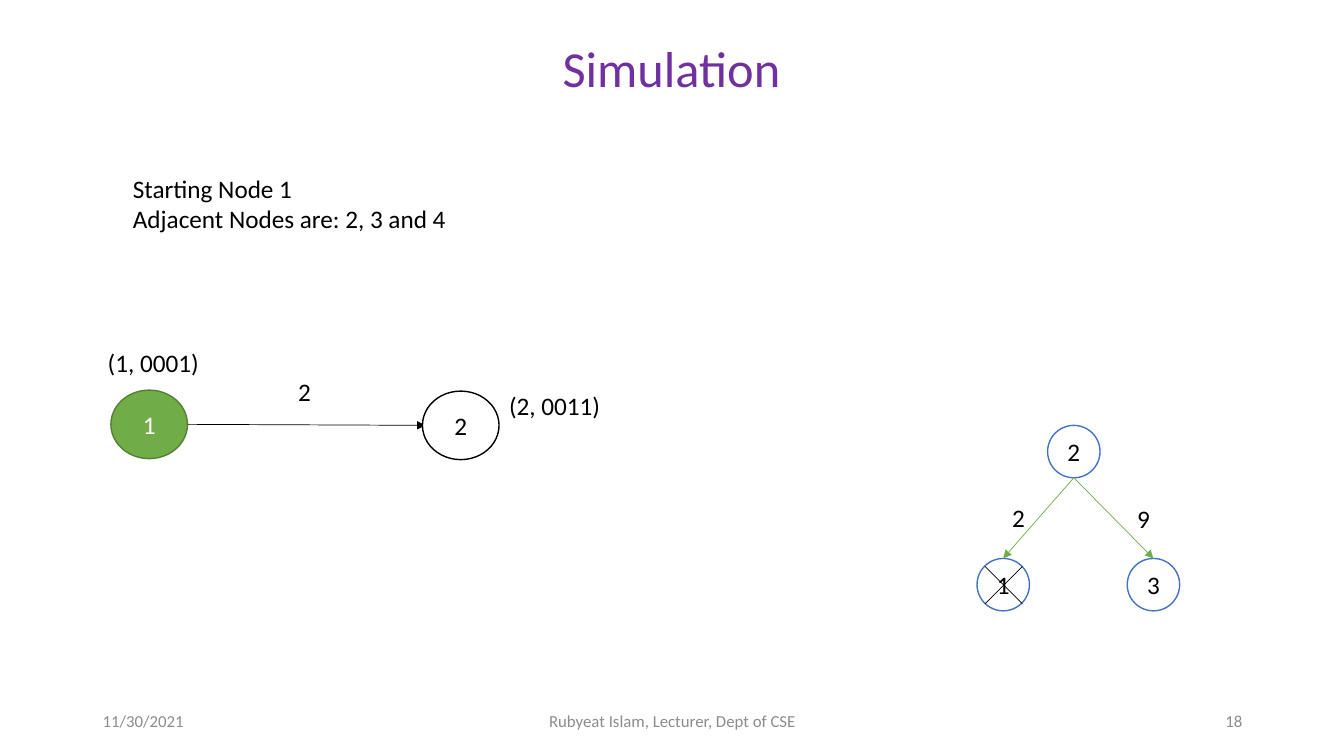
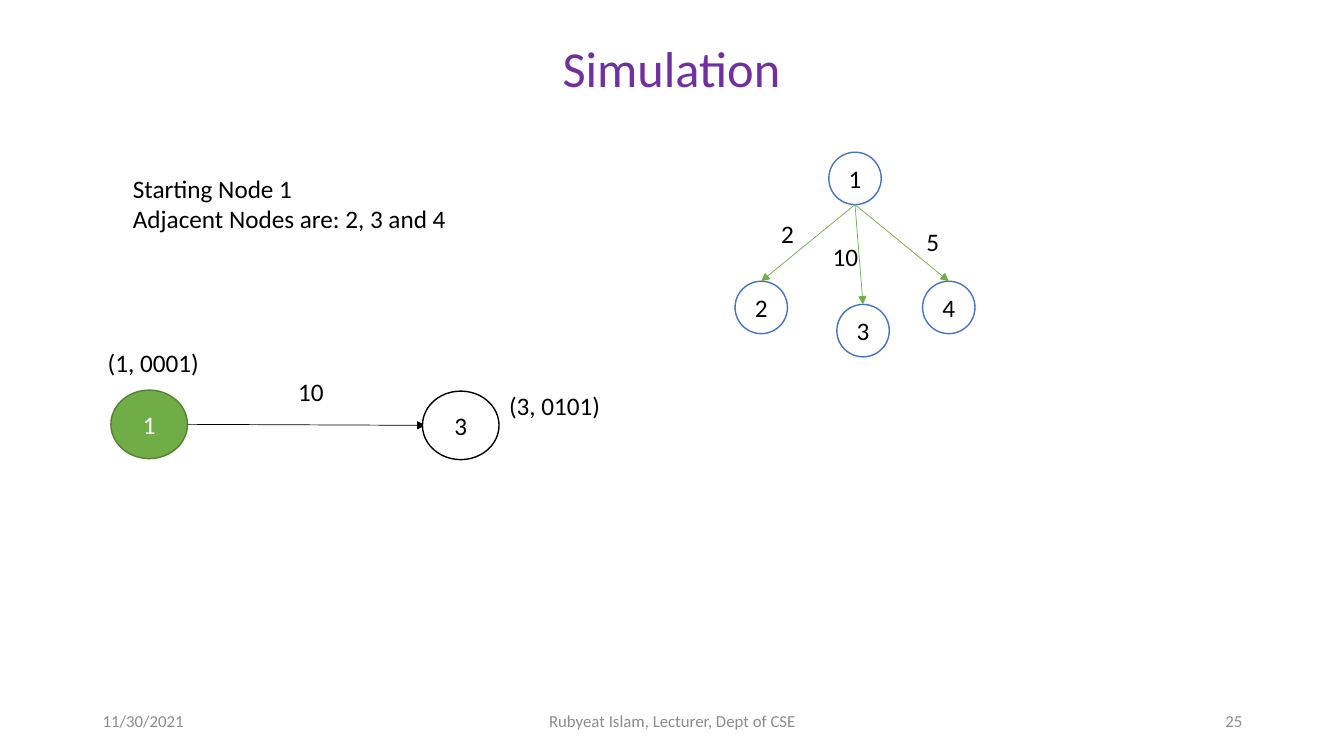
"""Two slides that simulate a search from one node to its neighbours."""
from dataclasses import dataclass

from pptx import Presentation
from pptx.dml.color import RGBColor
from pptx.enum import shapes as kinds, text as modes
from pptx.oxml import ns, xmlchemy as xml
from pptx.util import Inches, Pt

HUES = {
    "title": "7030A0", "foot": "8C8C8C", "ink": "000000", "paper": "FFFFFF",
    "green": "70AD47", "moss": "538035", "blue": "4472C4",
}
FONT = "Calibri"
RING = 0.52
LEFT, MID, RIGHT = modes.PP_ALIGN.LEFT, modes.PP_ALIGN.CENTER, modes.PP_ALIGN.RIGHT


@dataclass
class Leaf:
    """A child in a tree, with its edge cost and the place of that cost."""
    name: str
    left: float
    top: float
    cost: str
    spot: tuple[float, float]
    done: bool = False


@dataclass
class Tree:
    """A root ring and its leaves."""
    name: str
    left: float
    top: float
    leaves: list[Leaf]


@dataclass
class Step:
    """One slide of the simulation."""
    page: str
    goal: str
    state: str
    cost: str
    tree: Tree


STEPS = [
    Step("18", "2", "(2, 0011)", "2", Tree("2", 10.39, 4.22, [
        Leaf("1", 9.69, 5.54, "2", (9.94, 4.93), True),
        Leaf("3", 11.18, 5.54, "9", (11.18, 4.94)),
    ])),
    Step("25", "3", "(3, 0101)", "10", Tree("1", 8.22, 1.51, [
        Leaf("2", 7.29, 2.79, "2", (7.65, 2.12)),
        Leaf("3", 8.3, 3.02, "10", (8.16, 2.34)),
        Leaf("4", 9.15, 2.79, "5", (9.09, 2.2)),
    ])),
]


def tint(key: str) -> RGBColor:
    """Give the colour with this name."""
    return RGBColor.from_string(HUES[key])


def write(frame, words: str, size: int, hue: str, align) -> None:
    """Fill a text frame, one paragraph a line."""
    for num, line in enumerate(words.split("\n")):
        para = frame.add_paragraph() if num else frame.paragraphs[0]
        para.text = line
        para.alignment = align
        para.font.name = FONT
        para.font.size = Pt(size)
        para.font.color.rgb = tint(hue)


def label(slide, words: str, left: float, top: float, width: float, high: float = 0.4,
          size: int = 18, hue: str = "ink", align=LEFT, wrap: bool = False):
    """Add a text box and give its frame."""
    box = slide.shapes.add_textbox(Inches(left), Inches(top), Inches(width), Inches(high))
    frame = box.text_frame
    frame.word_wrap = wrap
    frame.auto_size = modes.MSO_AUTO_SIZE.SHAPE_TO_FIT_TEXT
    write(frame, words, size, hue, align)
    return frame


def price(slide, cost: str, left: float, top: float) -> None:
    """Label an edge with its cost."""
    label(slide, cost, left, top, 0.2 + 0.13 * len(cost))


def node(slide, name: str, left: float, top: float, width: float = RING, high: float = RING,
         fill: str = "paper", edge: str = "blue", ink: str = "ink"):
    """Add a round node."""
    oval = slide.shapes.add_shape(kinds.MSO_SHAPE.OVAL, Inches(left), Inches(top),
                                  Inches(width), Inches(high))
    oval.shadow.inherit = False
    oval.fill.solid()
    oval.fill.fore_color.rgb = tint(fill)
    oval.line.color.rgb = tint(edge)
    oval.line.width = Pt(1)
    oval.text_frame.vertical_anchor = modes.MSO_ANCHOR.MIDDLE
    write(oval.text_frame, name, 18, ink, MID)
    return oval


def link(slide, start: tuple[float, float], end: tuple[float, float],
         hue: str = "ink", head: bool = True):
    """Add a straight line, with an arrowhead if asked."""
    line = slide.shapes.add_connector(kinds.MSO_CONNECTOR.STRAIGHT,
                                      *(Inches(val) for val in (*start, *end)))
    line.line.color.rgb = tint(hue)
    line.line.width = Pt(0.5)
    props = line._element.spPr
    if head:
        tip = xml.OxmlElement("a:tailEnd")
        tip.set("type", "triangle")
        props.find(ns.qn("a:ln")).append(tip)
    props.append(xml.OxmlElement("a:effectLst"))
    return line


def cross(slide, left: float, top: float) -> None:
    """Strike out a ring corner to corner."""
    near, far = 0.08, RING - 0.07
    for one, two in ((near, far), (far, near)):
        link(slide, (left + one, top + near), (left + two, top + far), head=False)


def grow(slide, tree: Tree) -> None:
    """Draw a tree of rings."""
    node(slide, tree.name, tree.left, tree.top)
    base = (tree.left + RING / 2, tree.top + RING)
    for leaf in tree.leaves:
        ring = node(slide, leaf.name, leaf.left, leaf.top)
        edge = link(slide, base, (leaf.left + RING / 2, leaf.top), "green")
        edge.end_connect(ring, 0)
        price(slide, leaf.cost, *leaf.spot)
        if leaf.done:
            cross(slide, leaf.left, leaf.top)


def frame(slide, page: str) -> None:
    """Add the title and the footer."""
    feet = [
        ("11/30/2021", 0.92, 3, LEFT),
        ("Rubyeat Islam, Lecturer, Dept of CSE", 4.42, 4.5, MID),
        (page, 9.42, 3, RIGHT),
    ]
    for words, left, width, align in feet:
        foot = label(slide, words, left, 6.95, width, 0.4, 12, "foot", align, True)
        foot.auto_size = modes.MSO_AUTO_SIZE.NONE
        foot.vertical_anchor = modes.MSO_ANCHOR.MIDDLE
    label(slide, "Simulation", 0.44, 0.32, 12.44, 0.71, 36, "title", MID, True)


def move(slide, step: Step) -> None:
    """Draw the move from the start node to the goal."""
    label(slide, "Starting Node 1\nAdjacent Nodes are: 2, 3 and 4", 1.22, 1.67, 3.34, 0.71)
    node(slide, "1", 1.1, 3.87, 0.76, 0.68, "green", "moss", "paper")
    label(slide, "(1, 0001)", 0.97, 3.4, 1.12)
    link(slide, (1.86, 4.21), (4.22, 4.22))
    node(slide, step.goal, 4.19, 3.88, 0.76, 0.68, edge="ink")
    label(slide, step.state, 4.95, 3.82, 1.12)
    price(slide, step.cost, 2.86, 3.68)


def main() -> None:
    """Build and save the deck."""
    deck = Presentation()
    deck.slide_width, deck.slide_height = Inches(13.33), Inches(7.5)
    for step in STEPS:
        slide = deck.slides.add_slide(deck.slide_layouts[6])
        frame(slide, step.page)
        move(slide, step)
        grow(slide, step.tree)
    deck.save("out.pptx")


if __name__ == "__main__":
    main()
